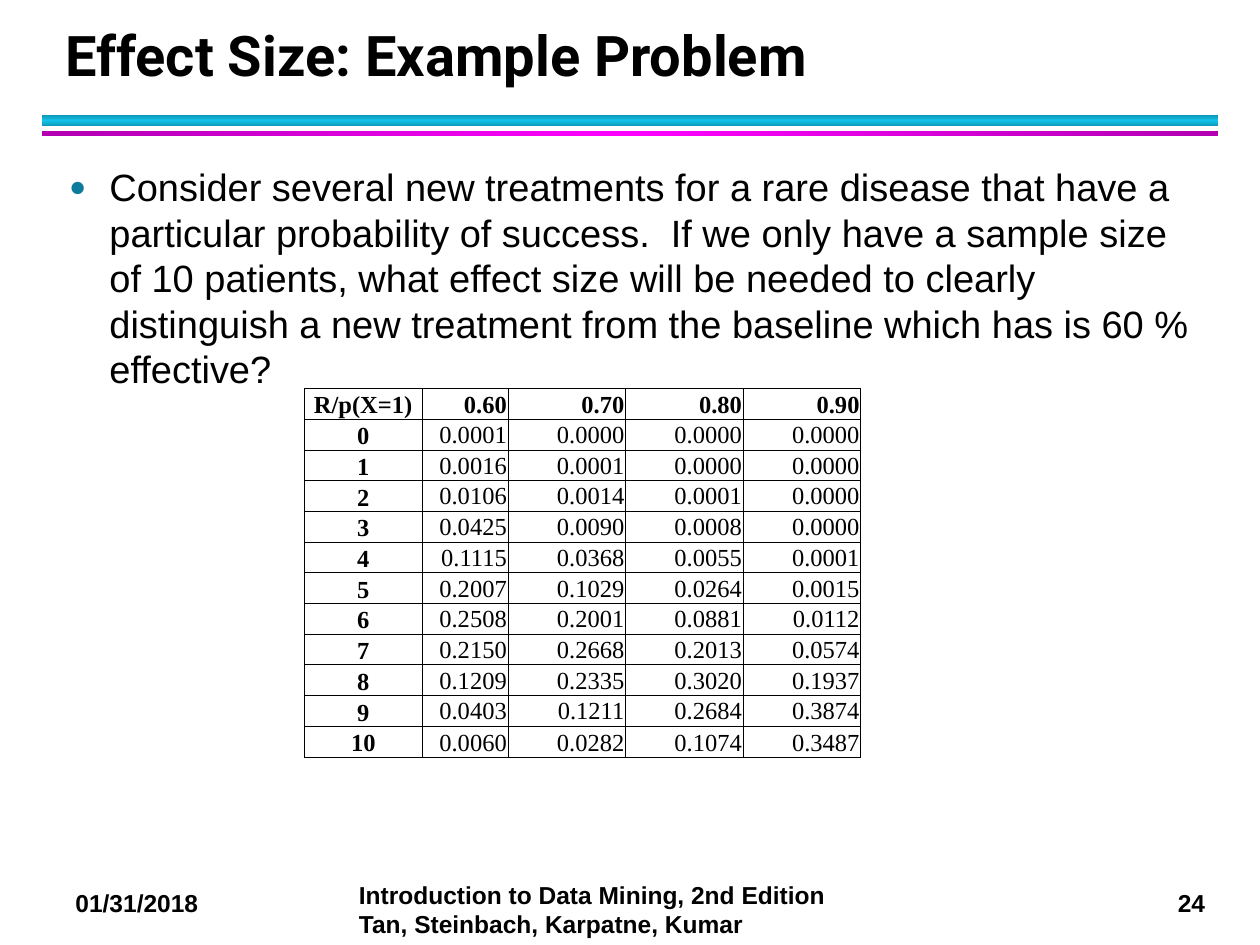
from copy import deepcopy
from math import comb

from lxml.etree import SubElement
from pptx import Presentation
from pptx.dml.color import RGBColor
from pptx.enum.shapes import MSO_SHAPE
from pptx.enum.text import MSO_ANCHOR, PP_ALIGN
from pptx.oxml.ns import qn
from pptx.util import Inches, Pt

COLUMNS, ROWS = 120, 90
WIDTH, HEIGHT = Inches(10), Inches(7.5)
BLACK = "000000"
PATIENTS = 10
SUCCESS_RATES = [0.6, 0.7, 0.8, 0.9]
TABLE_COLUMNS = [11.2, 8.2, 11.2, 11.2, 11.2]
TABLE_ROW = 2.52


def color(hex_string):
    return RGBColor.from_string(hex_string)


def across(columns):
    return round(WIDTH * columns / COLUMNS)


def down(rows):
    return round(HEIGHT * rows / ROWS)


def grid(left, top, width, height):
    return across(left), down(top), across(width), down(height)


def add_run(p, text, size, font="Arial", bold=False):
    r = p.add_run()
    r.text = text
    r.font.size = Pt(size)
    r.font.name = font
    r.font.bold = bold
    r.font.color.rgb = color(BLACK)


def add_bar(s, box, edge, middle, angle):
    sp = s.shapes.add_shape(MSO_SHAPE.RECTANGLE, *grid(*box))
    sp.shadow.inherit = False
    sp.line.fill.background()
    sp.fill.gradient()
    sp.fill.gradient_angle = angle
    stops = next(sp._element.iter(qn("a:gsLst")))
    stops.append(deepcopy(stops[-1]))
    for stop, position, shade in zip(
        sp.fill.gradient_stops, (0, 0.5, 1), (edge, middle, edge)
    ):
        stop.position = position
        stop.color.rgb = color(shade)


def add_title(s, text):
    sp = s.shapes.title
    sp.left, sp.top, sp.width, sp.height = grid(5, 2, 108.7, 7)
    tf = sp.text_frame
    tf.vertical_anchor = MSO_ANCHOR.BOTTOM
    p = tf.paragraphs[0]
    p.alignment = PP_ALIGN.LEFT
    p.line_spacing = Pt(36)
    add_run(p, text, 32, "Roboto", True)


def add_text(s, box, text, size, bold=False, wrap=True):
    tf = s.shapes.add_textbox(*grid(*box)).text_frame
    tf.word_wrap = wrap
    p = tf.paragraphs[0]
    add_run(p, text, size, bold=bold)
    return p


def add_bullet(p, symbol, shade):
    p.line_spacing = Pt(26)
    p.space_before = Pt(2)
    p.space_after = Pt(4)
    pPr = p._p.get_or_add_pPr()
    indent = Inches(0.32)
    pPr.set("marL", str(indent))
    pPr.set("indent", str(-indent))
    SubElement(SubElement(pPr, qn("a:buClr")), qn("a:srgbClr"), val=shade)
    SubElement(pPr, qn("a:buSzPct"), val="75000")
    SubElement(pPr, qn("a:buFont"), typeface="Arial")
    SubElement(pPr, qn("a:buChar"), char=symbol)


def add_borders(cell):
    tcPr = cell._tc.get_or_add_tcPr()
    for index, side in enumerate(("lnL", "lnR", "lnT", "lnB")):
        line = tcPr.makeelement(qn(f"a:{side}"), {"w": str(Pt(0.5))})
        fill = SubElement(line, qn("a:solidFill"))
        SubElement(fill, qn("a:srgbClr"), val=BLACK)
        tcPr.insert(index, line)


def fill_cell(cell, text, align, anchor, bold):
    cell.margin_left = cell.margin_right = cell.margin_top = Inches(0.01)
    cell.margin_bottom = 0
    cell.vertical_anchor = anchor
    cell.fill.background()
    add_borders(cell)
    p = cell.text_frame.paragraphs[0]
    p.alignment = align
    add_run(p, text, 14, "Times New Roman", bold)


def binomial_rows():
    yield ["R/p(X=1)"] + [f"{rate:.2f}" for rate in SUCCESS_RATES]
    for hits in range(PATIENTS + 1):
        ways = comb(PATIENTS, hits)
        yield [str(hits)] + [
            f"{ways * rate**hits * (1 - rate) ** (PATIENTS - hits):.4f}"
            for rate in SUCCESS_RATES
        ]


def add_probability_table(s):
    rows = list(binomial_rows())
    box = grid(29, 37, sum(TABLE_COLUMNS), TABLE_ROW * len(rows))
    table = s.shapes.add_table(len(rows), len(TABLE_COLUMNS), *box).table
    table.first_row = table.horz_banding = False
    for column, width in zip(table.columns, TABLE_COLUMNS):
        column.width = across(width)
    for i, values in enumerate(rows):
        table.rows[i].height = down(TABLE_ROW)
        for j, text in enumerate(values):
            heading = i == 0 or j == 0
            at_bottom = heading or i == len(rows) - 1
            fill_cell(
                table.cell(i, j),
                text,
                PP_ALIGN.RIGHT if j else PP_ALIGN.CENTER,
                MSO_ANCHOR.BOTTOM if at_bottom else MSO_ANCHOR.MIDDLE,
                heading,
            )


def main():
    prs = Presentation()
    prs.slide_width, prs.slide_height = WIDTH, HEIGHT
    s = prs.slides.add_slide(prs.slide_layouts[5])
    add_bar(s, (4, 11, 112, 1), "0E9BBA", "12C2E9", 90)
    add_bar(s, (4, 12.5, 112, 0.5), "B200B2", "FF00FF", 0)
    add_text(s, (6, 84, 16, 4), "01/31/2018", 14, True)
    add_text(s, (111, 84, 5.3, 4), "24", 14, True, wrap=False)
    add_text(
        s,
        (33, 83.2, 49, 6.8),
        "Introduction to Data Mining, 2nd Edition Tan, Steinbach, Karpatne, Kumar",
        14,
        True,
    )
    add_title(s, "Effect Size: Example Problem")
    question = add_text(
        s,
        (5.4, 15, 109.2, 19),
        "Consider several new treatments for a rare disease that have a "
        "particular probability of success.  If we only have a sample size "
        "of 10 patients, what effect size will be needed to clearly "
        "distinguish a new treatment from the baseline which has is 60 % "
        "effective?",
        21.7,
    )
    add_bullet(question, "●", "0C7B9C")
    add_probability_table(s)
    prs.save("out.pptx")


if __name__ == "__main__":
    main()
